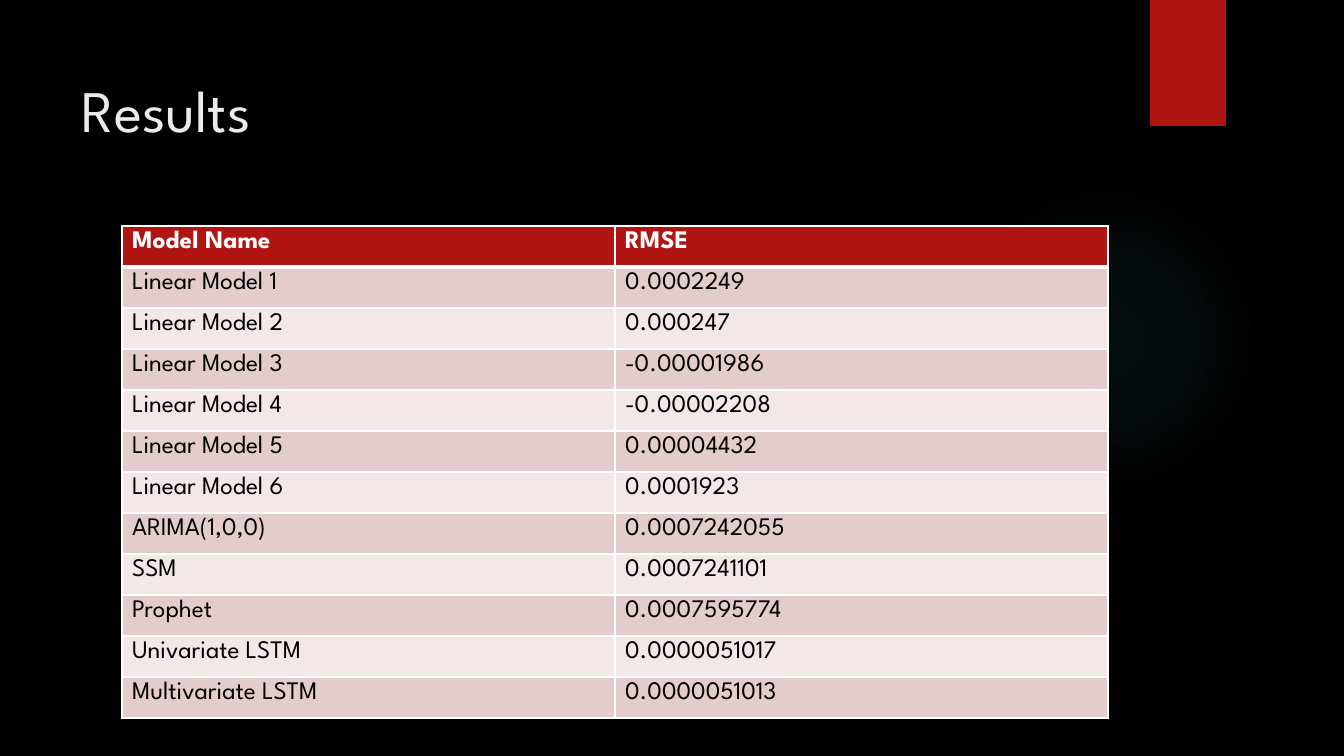
from typing import NamedTuple

from lxml import etree
from pptx import Presentation
from pptx import util as u
from pptx.dml.color import RGBColor
from pptx.enum import shapes, text
from pptx.oxml import parse_xml
from pptx.oxml.ns import nsdecls, qn

FONT = "League Spartan"
RED, WHITE, BLACK, GLOW = "B01513", "FFFFFF", "000000", "50B9C1"
BANDS = ("E4CCCC", "F2E8E7")


class Box(NamedTuple):
    x: int
    y: int
    w: int
    h: int


class Result(NamedTuple):
    model: str
    rmse: str


RESULTS = [
    Result("Model Name", "RMSE"),
    Result("Linear Model 1", "0.0002249"),
    Result("Linear Model 2", "0.000247"),
    Result("Linear Model 3", "-0.00001986"),
    Result("Linear Model 4", "-0.00002208"),
    Result("Linear Model 5", "0.00004432"),
    Result("Linear Model 6", "0.0001923"),
    Result("ARIMA(1,0,0)", "0.0007242055"),
    Result("SSM", "0.0007241101"),
    Result("Prophet", "0.0007595774"),
    Result("Univariate LSTM", "0.0000051017"),
    Result("Multivariate LSTM", "0.0000051013"),
]


def px(n: int) -> u.Emu:
    return u.Emu(round(n * 914400 / 100.8))


def place(box: Box) -> list[u.Emu]:
    return [px(n) for n in box]


def rgb(color: str) -> RGBColor:
    return RGBColor.from_string(color)


def write(tf, words: str, *, size: int, color: str, bold: bool = False) -> None:
    r = tf.paragraphs[0].add_run()
    r.text = words
    r.font.name, r.font.size, r.font.bold = FONT, u.Pt(size), bold
    r.font.color.rgb = rgb(color)


def add_plain(s, kind, box: Box, color: str):
    sp = s.shapes.add_shape(kind, *place(box))
    sp.shadow.inherit = False
    sp.fill.solid()
    sp.fill.fore_color.rgb = rgb(color)
    sp.line.fill.background()
    return sp


def set_glow(sp, color: str, stops: list[tuple[int, int]]) -> None:
    """Radial gradient; stops are (position %, opacity %)."""
    gs = "".join(
        f'<a:gs pos="{pos * 1000}"><a:srgbClr val="{color}">'
        f'<a:alpha val="{alpha * 1000}"/></a:srgbClr></a:gs>'
        for pos, alpha in stops)
    grad = parse_xml(
        f'<a:gradFill {nsdecls("a")} rotWithShape="1"><a:gsLst>{gs}</a:gsLst>'
        '<a:path path="circle"><a:fillToRect l="50000" t="50000" r="50000" '
        'b="50000"/></a:path></a:gradFill>')
    pr = sp._element.spPr
    pr.replace(pr.find(qn("a:solidFill")), grad)


def set_shadow(sp) -> None:
    effects = sp._element.spPr.find(qn("a:effectLst"))
    shadow = etree.SubElement(effects, qn("a:outerShdw"), blurRad=str(u.Pt(3)),
                              dist=str(u.Pt(2)), dir="5400000", rotWithShape="0")
    clr = etree.SubElement(shadow, qn("a:srgbClr"), val=BLACK)
    etree.SubElement(clr, qn("a:alpha"), val="45000")


def set_borders(cell, top: int, bottom: int) -> None:
    widths = {"lnL": 1, "lnR": 1, "lnT": top, "lnB": bottom}
    pr = cell._tc.get_or_add_tcPr()
    for i, (side, width) in enumerate(widths.items()):
        pr.insert(i, parse_xml(
            f'<a:{side} {nsdecls("a")} w="{u.Pt(width)}"><a:solidFill>'
            f'<a:srgbClr val="{WHITE}"/></a:solidFill></a:{side}>'))


def add_results(s, box: Box, rows: list[Result]) -> None:
    tbl = s.shapes.add_table(len(rows), 2, *place(box)).table
    for i, result in enumerate(rows):
        tbl.rows[i].height = px(box.h // len(rows))
        head = i == 0
        for j, words in enumerate(result):
            cell = tbl.cell(i, j)
            cell.fill.solid()
            cell.fill.fore_color.rgb = rgb(RED if head else BANDS[(i - 1) % 2])
            set_borders(cell, top=3 if i == 1 else 1, bottom=3 if head else 1)
            write(cell.text_frame, words, size=18,
                  color=WHITE if head else BLACK, bold=head)


def main() -> None:
    prs = Presentation()
    prs.slide_width, prs.slide_height = px(1344), px(756)
    s = prs.slides.add_slide(prs.slide_layouts[6])
    s.background.fill.solid()
    s.background.fill.fore_color.rgb = rgb(BLACK)

    # Backdrop: soft glow and red tab
    glow = add_plain(s, shapes.MSO_SHAPE.OVAL, Box(949, 184, 310, 310), GLOW)
    set_glow(glow, GLOW, [(0, 7), (36, 6), (69, 0)])
    tab = add_plain(s, shapes.MSO_SHAPE.RECTANGLE, Box(1150, 0, 76, 126), RED)
    set_shadow(tab)

    # Title
    tf = s.shapes.add_textbox(*place(Box(72, 50, 1037, 154))).text_frame
    tf.word_wrap = True
    tf.vertical_anchor = text.MSO_ANCHOR.TOP
    tf.margin_top = px(24)
    write(tf, "Results", size=42, color="EBEBEB")

    # Table of models and errors
    add_results(s, Box(122, 226, 986, 492), RESULTS)
    prs.save("out.pptx")


if __name__ == "__main__":
    main()
